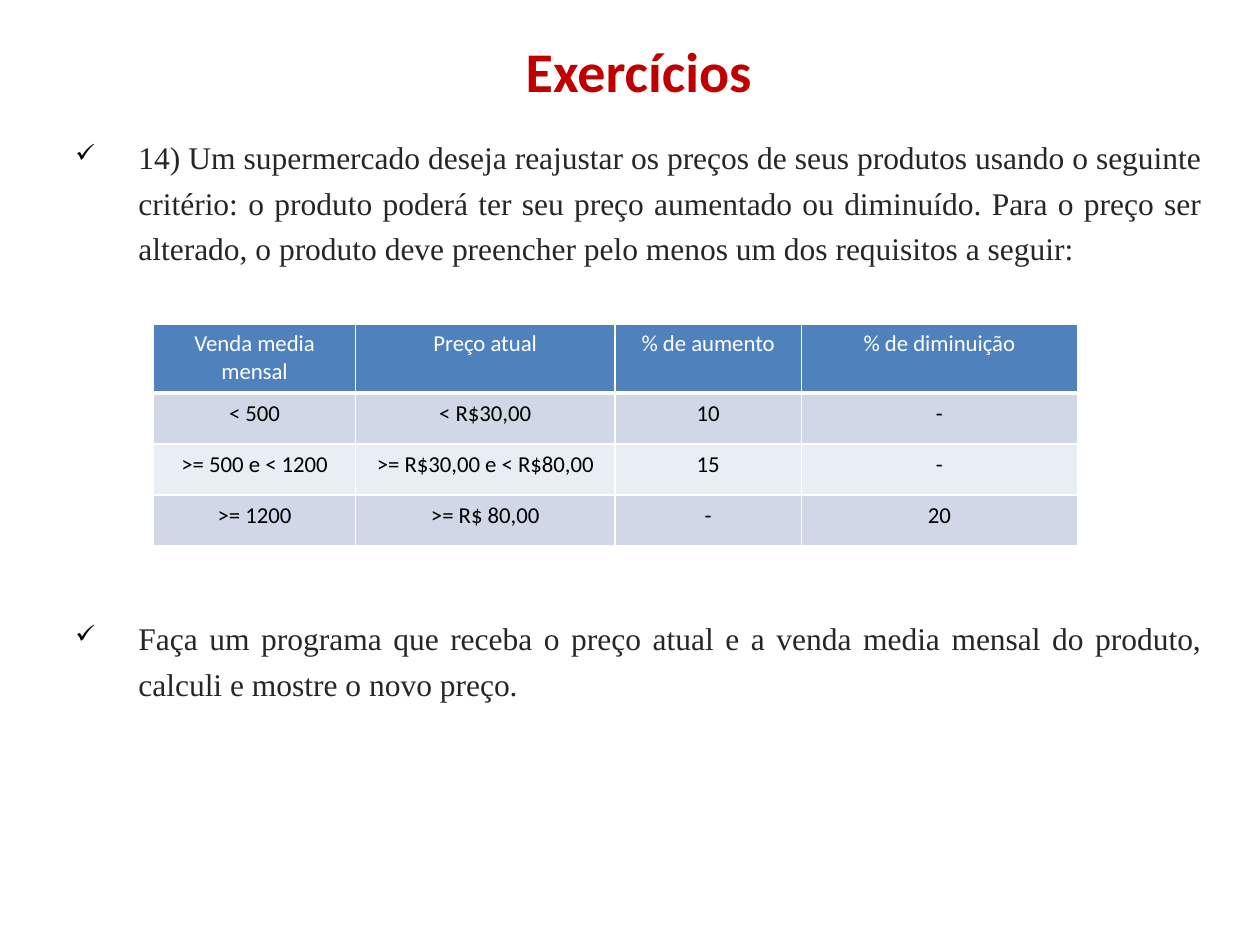
from dataclasses import dataclass

from lxml import etree
from pptx import Presentation
from pptx.dml.color import RGBColor
from pptx.enum.text import MSO_ANCHOR, PP_ALIGN
from pptx.oxml.ns import qn
from pptx.util import Inches, Pt

CENTER, JUSTIFY = PP_ALIGN.CENTER, PP_ALIGN.JUSTIFY
TOP, MIDDLE = MSO_ANCHOR.TOP, MSO_ANCHOR.MIDDLE


@dataclass(frozen=True)
class Theme:
    sans: str = "Calibri"
    serif: str = "Times New Roman"
    title: str = "C00000"
    body: str = "262626"
    black: str = "000000"
    white: str = "FFFFFF"
    head: str = "4F81BD"
    bands: tuple = ("D0D8E8", "E9EDF4")
    title_size: int = 32
    body_size: int = 18
    cell_size: int = 13


class Deck:
    """Style and current slide, on a grid of 100 columns by 75 rows."""

    def __init__(self, theme):
        self.theme = theme
        self.prs = Presentation()
        self.prs.slide_width, self.prs.slide_height = Inches(10), Inches(7.5)
        self.col = self.prs.slide_width / 100
        self.row = self.prs.slide_height / 75
        self.slide = self.prs.slides.add_slide(self.prs.slide_layouts[6])

    def place(self, x, y, w, h):
        return (round(x * self.col), round(y * self.row),
                round(w * self.col), round(h * self.row))

    def frame(self, area, anchor=TOP):
        frame = self.slide.shapes.add_textbox(*self.place(*area)).text_frame
        frame.word_wrap = True
        frame.vertical_anchor = anchor
        return frame

    def add_text(self, para, text, size, face, color, align, bold=False):
        para.alignment = align
        run = para.add_run()
        run.text = text
        font = run.font
        font.size, font.name, font.bold = Pt(size), face, bold
        font.color.rgb = RGBColor.from_string(color)

    def title(self, text, area):
        t = self.theme
        para = self.frame(area, MIDDLE).paragraphs[0]
        self.add_text(para, text, t.title_size, t.sans, t.title, CENTER, True)

    def check(self, para):
        """Give a paragraph a hanging check mark."""
        props = para._p.get_or_add_pPr()
        props.set("marL", str(round(6.5 * self.col)))
        props.set("indent", str(round(-5 * self.col)))
        color = etree.SubElement(props, qn("a:buClr"))
        etree.SubElement(color, qn("a:srgbClr"), val=self.theme.black)
        etree.SubElement(props, qn("a:buSzPct"), val="80000")
        etree.SubElement(props, qn("a:buChar"), char="✓")

    def checks(self, texts, area, gap):
        t = self.theme
        frame = self.frame(area)
        for i, text in enumerate(texts):
            para = frame.add_paragraph() if i else frame.paragraphs[0]
            self.check(para)
            para.line_spacing = 1.2
            para.space_before = Pt(gap if i else 0)
            self.add_text(para, text, t.body_size, t.serif, t.body, JUSTIFY)

    def edges(self, cell, widths):
        props = cell._tc.get_or_add_tcPr()
        for side, width in zip("LRTB", widths):
            line = etree.SubElement(props, qn(f"a:ln{side}"), w=str(Pt(width)))
            fill = etree.SubElement(line, qn("a:solidFill"))
            etree.SubElement(fill, qn("a:srgbClr"), val=self.theme.white)

    def table(self, rows, x, y, widths, heights):
        t = self.theme
        area = self.place(x, y, sum(widths), sum(heights))
        grid = self.slide.shapes.add_table(len(rows), len(widths), *area).table
        for column, width in zip(grid.columns, widths):
            column.width = round(width * self.col)
        for r, (texts, height) in enumerate(zip(rows, heights)):
            grid.rows[r].height = round(height * self.row)
            fill = t.bands[(r - 1) % 2] if r else t.head
            ink = t.black if r else t.white
            for c, text in enumerate(texts):
                cell = grid.cell(r, c)
                self.edges(cell, (1, 1, 1, 1 if r else 3))
                cell.fill.solid()
                cell.fill.fore_color.rgb = RGBColor.from_string(fill)
                para = cell.text_frame.paragraphs[0]
                self.add_text(para, text, t.cell_size, t.sans, ink, CENTER)

    def save(self):
        self.prs.save("out.pptx")


def main():
    deck = Deck(Theme())

    # Exercise text, with room for the table between the two items
    deck.checks([
        "14) Um supermercado deseja reajustar os preços de seus produtos "
        "usando o seguinte critério: o produto poderá ter seu preço aumentado "
        "ou diminuído. Para o preço ser alterado, o produto deve preencher "
        "pelo menos um dos requisitos a seguir:",
        "Faça um programa que receba o preço atual e a venda media mensal do "
        "produto, calculi e mostre o novo preço.",
    ], (3.5, 9.9, 92.9, 58.3), gap=197)

    # Heading
    deck.title("Exercícios", (6.5, -1.1, 88.4, 13.4))

    # Price rules
    deck.table([
        ("Venda media mensal", "Preço atual", "% de aumento", "% de diminuição"),
        ("< 500", "< R$30,00", "10", "-"),
        (">= 500 e < 1200", ">= R$30,00 e < R$80,00", "15", "-"),
        (">= 1200", ">= R$ 80,00", "-", "20"),
    ], 12.2, 25.7, (16, 20.6, 14.8, 21.9), (5.5, 4.05, 4.05, 4.05))

    deck.save()


if __name__ == "__main__":
    main()
